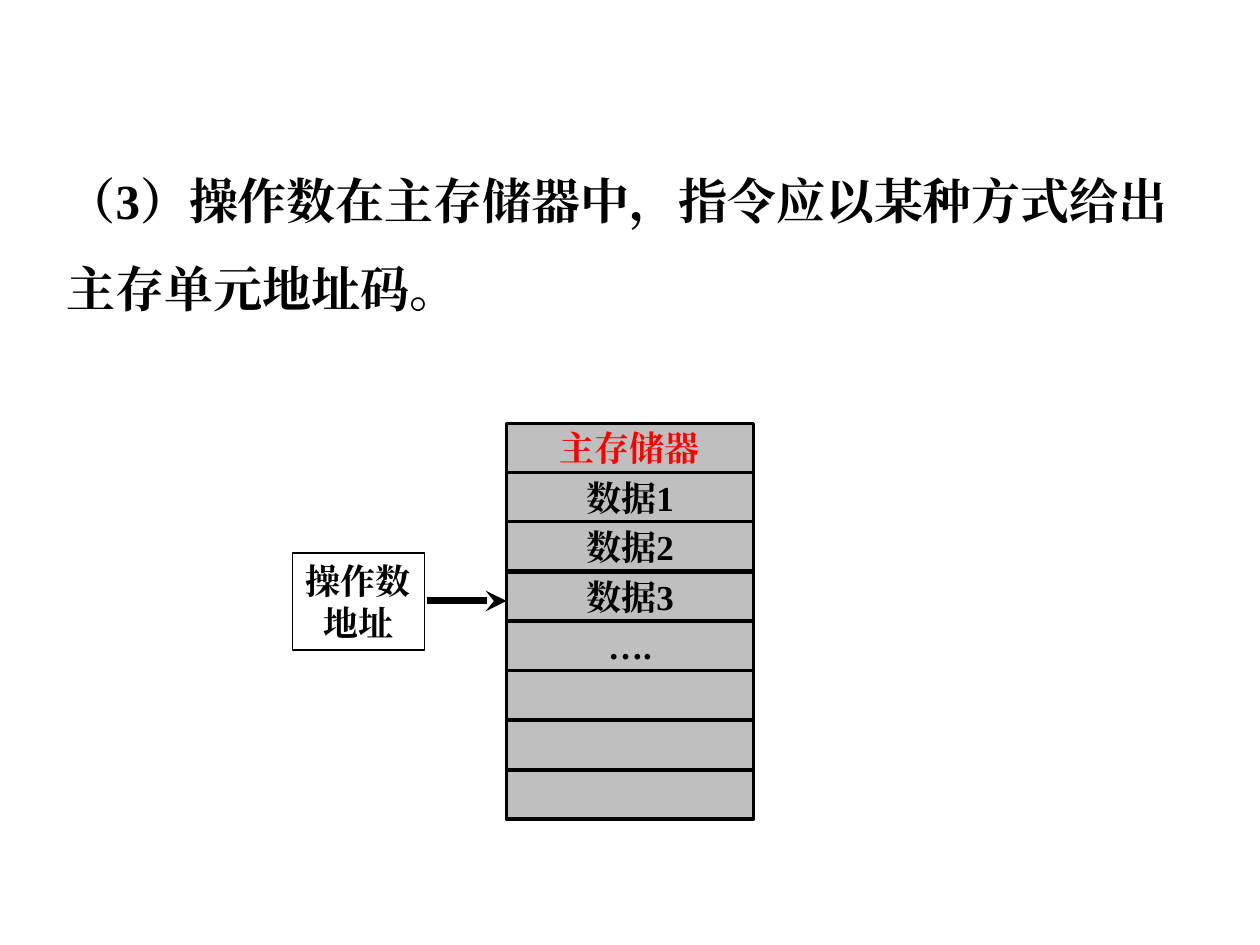
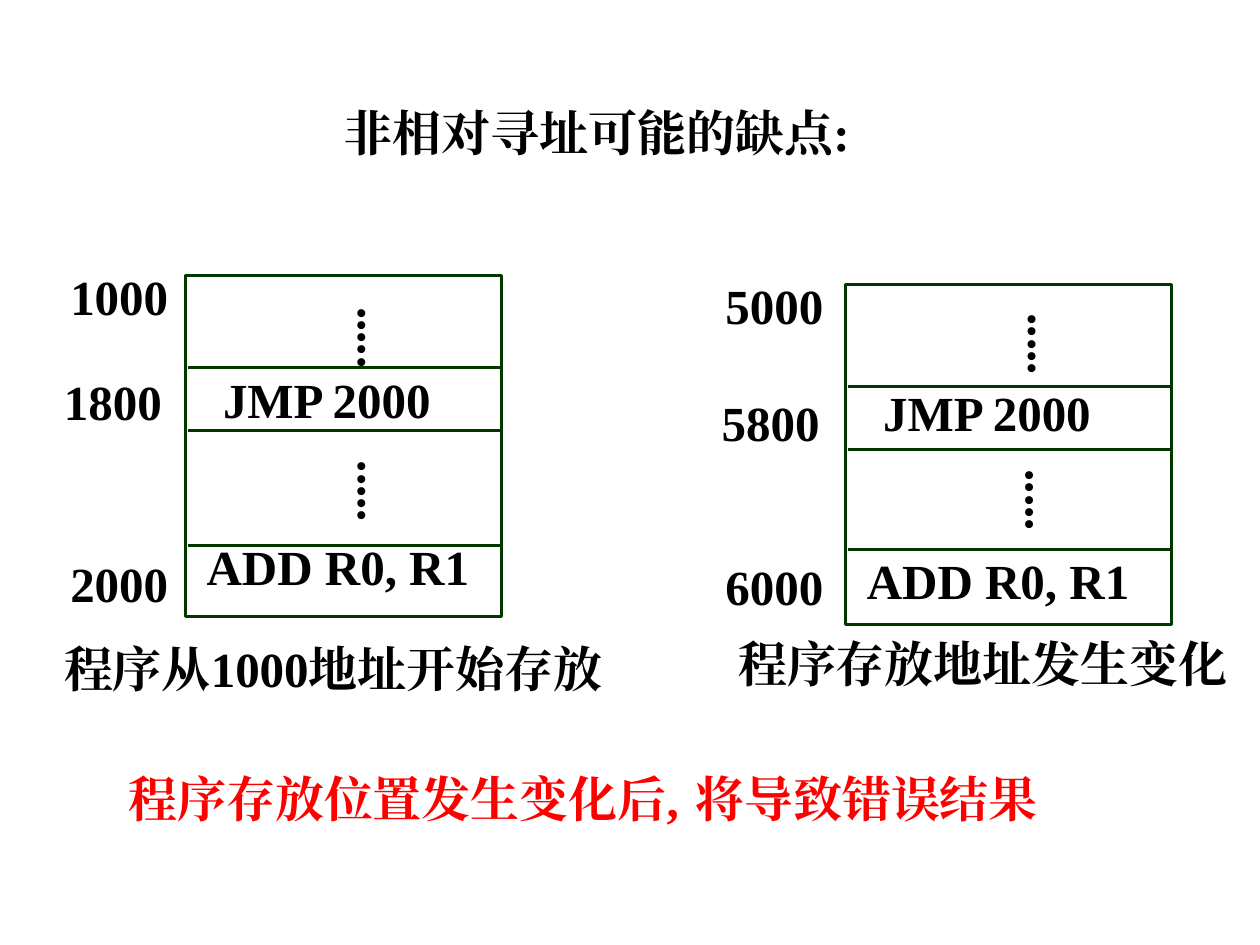
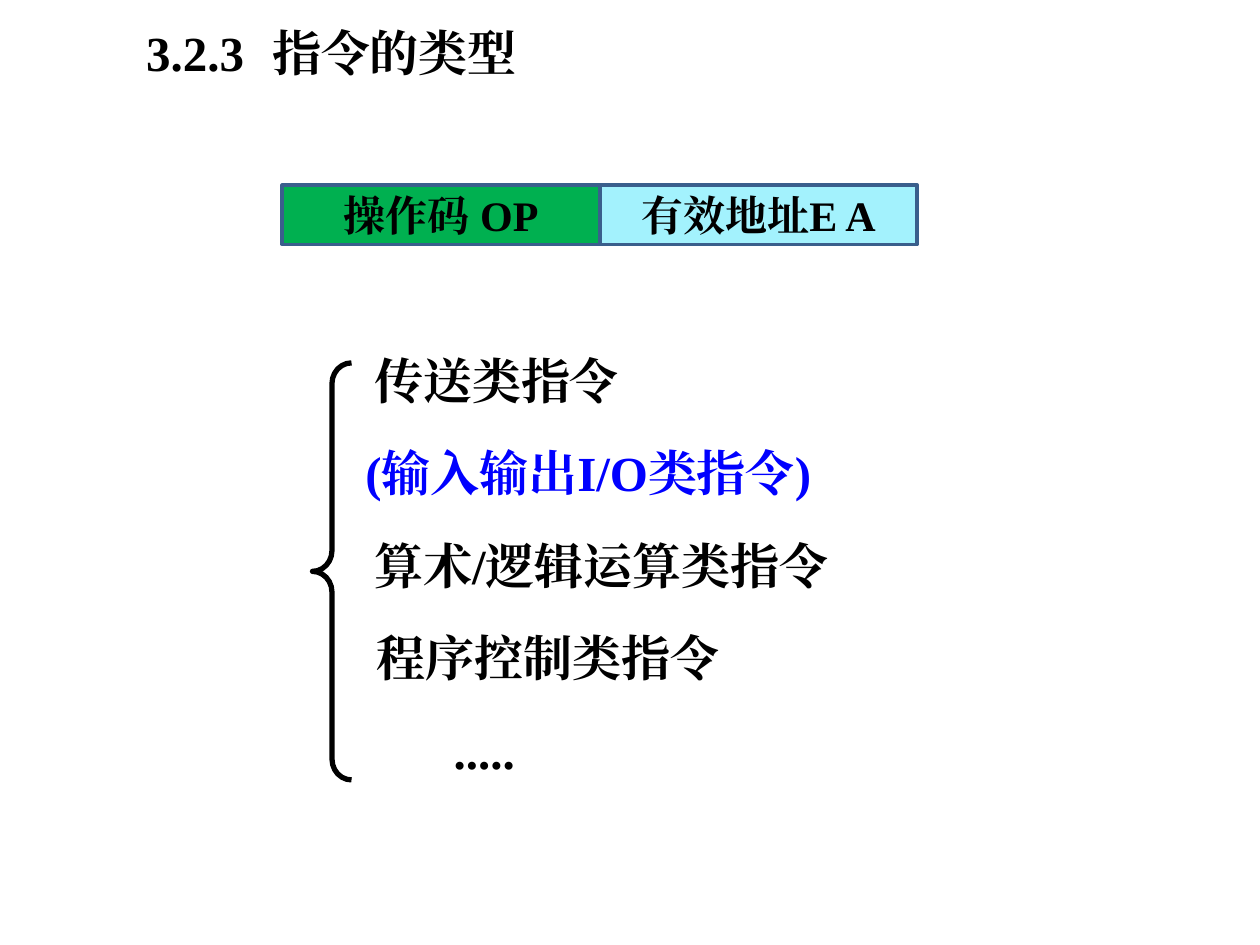
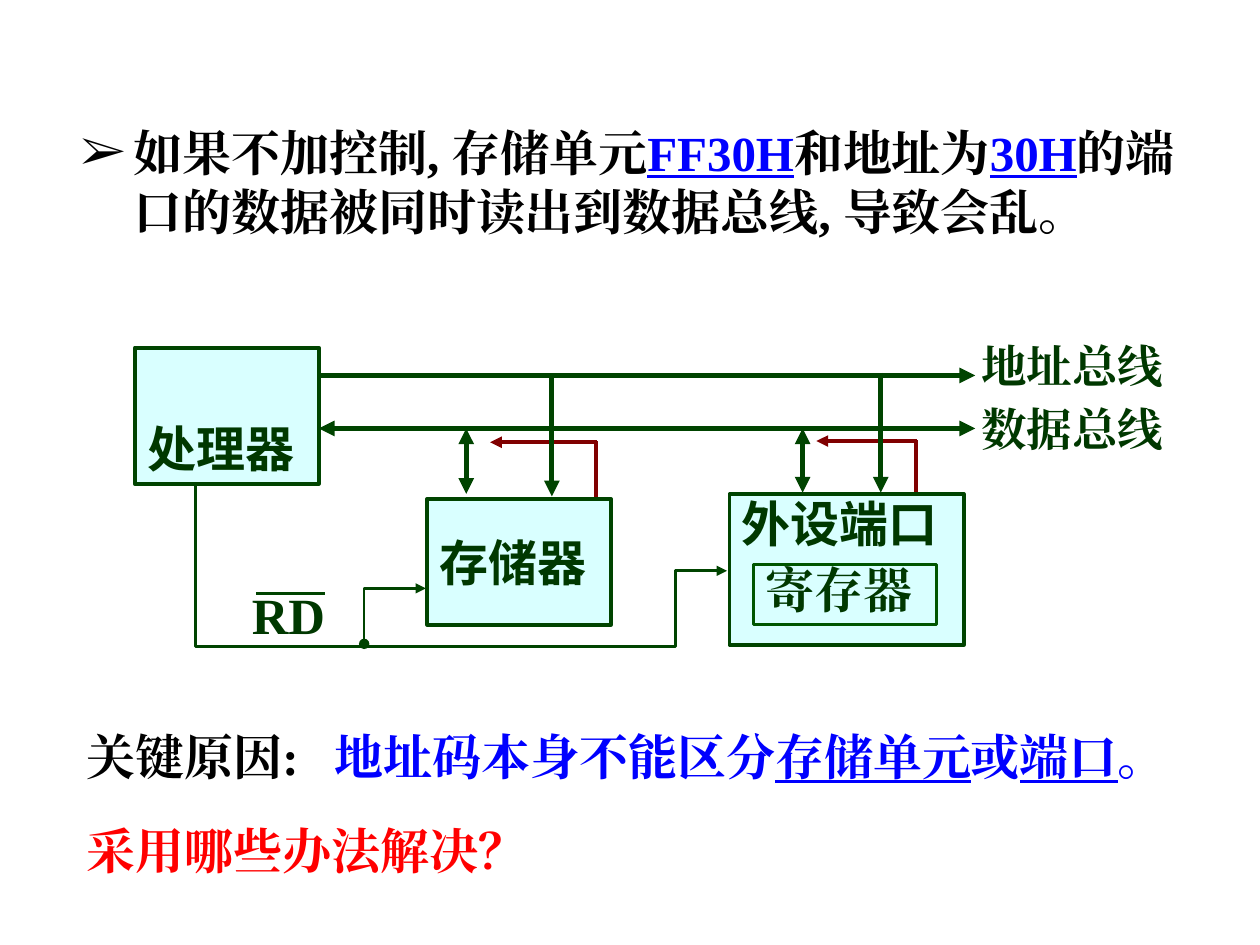
from dataclasses import dataclass
from lxml.etree import SubElement
from pptx import Presentation
from pptx.dml.color import RGBColor
from pptx.enum.shapes import MSO_CONNECTOR as Link, MSO_SHAPE as Form
from pptx.enum.text import MSO_ANCHOR as Anchor, MSO_AUTO_SIZE as Fit, PP_ALIGN as Align
from pptx.oxml.ns import qn
from pptx.util import Pt

SCALE = 9144


@dataclass(frozen=True)
class Theme:
    ink: str = "000000"
    red: str = "FF0000"
    blue: str = "0000FF"
    grey: str = "BFBFBF"
    pine: str = "003800"
    wire: str = "004400"
    leaf: str = "005600"
    wine: str = "800000"
    ice: str = "D9FFFF"
    aqua: str = "A3F2FD"
    green: str = "00B050"
    steel: str = "3A5F8C"
    serif: str = "Times New Roman"
    sans: str = "Noto Sans CJK SC"
    text: int = 28
    sign: int = 29
    bus: int = 26
    field: int = 24
    cell: int = 20


T = Theme()


@dataclass
class Line:
    words: list
    lead: float = 1.0
    before: int = 0
    left: int = 0
    first: int = 0
    tab: int = 0
    mark: str = ""


@dataclass
class Span:
    text: str
    tint: str = ""
    under: bool = False


def px(count):
    return count * SCALE


def area(rect):
    return [px(side) for side in rect]


def paint(font, tint):
    font.color.rgb = RGBColor.from_string(tint)


def style(para, line, size, tint, face, align):
    para.alignment = align
    para.line_spacing = line.lead
    para.space_before = Pt(line.before)
    props = para._p.get_or_add_pPr()
    props.set("marL", str(px(line.left)))
    props.set("indent", str(px(line.first)))
    if line.mark:
        SubElement(props, qn("a:buFont"), typeface=T.serif)
        SubElement(props, qn("a:buChar"), char=line.mark)
    else:
        SubElement(props, qn("a:buNone"))
    if line.tab:
        tabs = SubElement(props, qn("a:tabLst"))
        SubElement(tabs, qn("a:tab"), pos=str(px(line.tab)), algn="l")
    font = para.font
    font.size, font.bold, font.name = Pt(size), True, face
    paint(font, tint)
    SubElement(props.find(qn("a:defRPr")), qn("a:ea"), typeface=face)


def write(shape, lines, size=T.text, tint=T.ink, face=T.serif,
          align=Align.LEFT, anchor=Anchor.TOP, wrap=True):
    frame = shape.text_frame
    frame.word_wrap = wrap
    frame.auto_size = Fit.NONE
    frame.vertical_anchor = anchor
    for rank, line in enumerate(lines):
        line = Line([line]) if isinstance(line, str) else line
        para = frame.paragraphs[0] if rank == 0 else frame.add_paragraph()
        style(para, line, size, tint, face, align)
        for span in line.words:
            span = Span(span) if isinstance(span, str) else span
            run = para.add_run()
            run.text = span.text
            if span.tint:
                paint(run.font, span.tint)
            if span.under:
                run.font.underline = True


def place(holder, rect, lines, **look):
    holder.left, holder.top, holder.width, holder.height = area(rect)
    write(holder, lines, **look)


def note(slide, rect, text, **look):
    shape = slide.shapes.add_textbox(*area(rect))
    write(shape, [text], **look)
    return shape


def stroke(line, tint, width, head="", tail=""):
    line.color.rgb = RGBColor.from_string(tint)
    line.width = Pt(width)
    edge = line._get_or_add_ln()
    for end, kind in (("a:headEnd", head), ("a:tailEnd", tail)):
        if kind:
            SubElement(edge, qn(end), type=kind)


def block(slide, rect, edge, width, fill="", form=Form.RECTANGLE):
    shape = slide.shapes.add_shape(form, *area(rect))
    shape.shadow.inherit = False
    if fill:
        shape.fill.solid()
        shape.fill.fore_color.rgb = RGBColor.from_string(fill)
    else:
        shape.fill.background()
    stroke(shape.line, edge, width)
    return shape


def wire(slide, ends, tint, width, head="", tail=""):
    link = slide.shapes.add_connector(Link.STRAIGHT, *area(ends))
    stroke(link.line, tint, width, head, tail)
    SubElement(link._element.spPr, qn("a:effectLst"))


def bend(slide, points, head="", tail=""):
    start, *rest = [area(point) for point in points]
    pen = slide.shapes.build_freeform(*start)
    pen.add_line_segments(rest, close=False)
    shape = pen.convert_to_shape()
    shape.shadow.inherit = False
    shape.fill.background()
    stroke(shape.line, T.wire, 1.5, head, tail)


def plain(deck):
    slide = deck.slides.add_slide(deck.slide_layouts[1])
    title, body = slide.placeholders
    title._element.getparent().remove(title._element)
    return slide, body


def fetch(deck):
    slide, body = plain(deck)
    place(body, (43, 107, 913, 143),
          [Line(["（3）操作数在主存储器中，指令应以某种方式给出主存单元地址码。"], lead=1.5)])
    cells = ["主存储器", "数据1", "数据2", "数据3", "….", "", "", ""]
    for rank, text in enumerate(cells):
        top = 336 + rank * 315 // len(cells)
        cell = block(slide, (402, top, 196, 39), T.ink, 2, T.grey)
        if text:
            write(cell, [text], size=T.cell, tint=T.ink if rank else T.red,
                  align=Align.CENTER, anchor=Anchor.MIDDLE)
    code = block(slide, (232, 439, 105, 77), T.ink, 0.75)
    write(code, ["操作数", "地址"], size=T.cell, align=Align.CENTER, wrap=False)
    wire(slide, (339, 477, 402, 477), T.ink, 4, tail="stealth")


def panel(slide, rect, inset, rules, dots, tags, label, spot):
    left, top, width, height = rect
    frame = block(slide, rect, T.pine, 1.75)
    frame.text_frame.margin_left = px(17)
    frame.text_frame.margin_top = px(inset)
    write(frame, [Line(["JMP\t2000"], first=13, tab=119),
                  Line(["ADD R0, R1"], before=62)])
    for rule in rules:
        wire(slide, (left + 2, rule, left + width + 1, rule), T.pine, 1.75)
    for x, y in dots:
        dot = note(slide, (x, y, 67, 82), ".....")
        dot.text_frame._txBody.bodyPr.set("vert", "eaVert")
    for text, x, y in tags:
        note(slide, (x, y, 110, 57), text)
    note(slide, spot, label)


def shift(deck):
    slide = deck.slides.add_slide(deck.slide_layouts[5])
    place(slide.shapes.title, (263, 76, 521, 57), ["非相对寻址可能的缺点:"])
    panel(slide, (147, 219, 251, 270), 74, (292, 342, 433),
          ((261, 234), (261, 356)),
          (("1000", 46, 207), ("1800", 41, 290), ("2000", 46, 434)),
          "程序从1000地址开始存放", (41, 502, 461, 57))
    panel(slide, (671, 226, 259, 270), 78, (307, 357, 436),
          ((793, 239), (791, 363)),
          (("5000", 566, 214), ("5800", 563, 307), ("6000", 566, 437)),
          "程序存放地址发生变化", (576, 498, 426, 57))
    note(slide, (92, 605, 881, 57),
         Line(["程序存放位置发生变化后,\t将导致错误结果"], tab=476), tint=T.red)


def kinds(deck):
    slide = deck.slides.add_slide(deck.slide_layouts[1])
    title, body = slide.placeholders
    place(title, (106, 13, 316, 57), [Line(["3.2.3\t指令的类型"], tab=107)])
    fields = (("操作码 OP", T.green), ("有效地址E A", T.aqua))
    for rank, (text, fill) in enumerate(fields):
        field = block(slide, (224 + rank * 252, 147, 252, 47), T.steel, 2, fill)
        write(field, [text], size=T.field, align=Align.CENTER, anchor=Anchor.MIDDLE)
    brace = block(slide, (248, 288, 31, 331), T.ink, 3, form=Form.LEFT_BRACE)
    brace.adjustments[0] = 0.53
    items = (("传送类指令", 7), (Span("(输入输出I/O类指令)", T.blue), 0),
             ("算术/逻辑运算类指令", 7), ("程序控制类指令", 9), (".....", 70))
    place(body, (280, 282, 534, 342),
          [Line([text], lead=0.8, before=26 if rank else 0, left=left)
           for rank, (text, left) in enumerate(items)])


def buses(deck):
    slide, body = plain(deck)
    place(body, (54, 92, 912, 108), [Line(
        ["如果不加控制, 存储单元", Span("FF30H", T.blue, True), "和地址为",
         Span("30H", T.blue, True), "的端口的数据被同时读出到数据总线, 导致会乱。"],
        left=42, first=-42, mark="➢")])

    for right, base, top, tip in ((473, 395, 351, 389), (727, 393, 350, 648)):
        wire(slide, (right, base, right, top - 1), T.wine, 2.25)
        wire(slide, (right + 1, top, tip, top), T.wine, 2.25, tail="triangle")

    units = (("处理器", (107, 276, 146, 108), 2.25, T.ice, T.wire, T.sans, 1, Anchor.BOTTOM),
             ("外设端口", (579, 392, 186, 120), 2, T.ice, T.wire, T.sans, 0.9, Anchor.TOP),
             ("寄存器", (598, 448, 145, 48), 1.75, "", T.leaf, T.serif, 0.8, Anchor.MIDDLE),
             ("存储器", (339, 396, 146, 100), 2, T.ice, T.wire, T.sans, 1, Anchor.MIDDLE))
    for text, rect, width, fill, edge, face, lead, anchor in units:
        unit = block(slide, rect, edge, width, fill)
        write(unit, [Line([text], lead=lead)], tint=T.pine, face=face, anchor=anchor)

    for text, top in (("地址总线", 263), ("数据总线", 313)):
        note(slide, (769, top, 197, 53), text, size=T.bus, tint=T.pine)
    for y, head in ((298, ""), (340, "triangle")):
        wire(slide, (253, y, 774, y), T.wire, 3, head, "triangle")
    for x, top, base, head in ((438, 300, 394, ""), (699, 296, 391, ""),
                               (370, 340, 392, "triangle"), (637, 340, 391, "triangle")):
        wire(slide, (x, top, x, base), T.wire, 3, head, "triangle")

    note(slide, (190, 458, 98, 58), "RD", size=T.sign, tint=T.pine)
    wire(slide, (203, 471, 258, 471), T.wire, 1.5)
    bend(slide, ((289, 511), (289, 467), (338, 467)), "oval", "triangle")
    bend(slide, ((155, 385), (155, 513), (536, 513), (536, 453), (577, 453)),
         tail="triangle")

    note(slide, (59, 572, 215, 57), "关键原因:")
    note(slide, (256, 572, 736, 57),
         Line(["地址码本身不能区分", Span("存储单元", under=True), "或",
               Span("端口", under=True), "。"]), tint=T.blue)
    note(slide, (59, 646, 441, 57), "采用哪些办法解决？", tint=T.red)


def main():
    deck = Presentation()
    deck.slide_width, deck.slide_height = px(1000), px(750)
    for build in (fetch, shift, kinds, buses):
        build(deck)
    deck.save("out.pptx")


if __name__ == "__main__":
    main()
